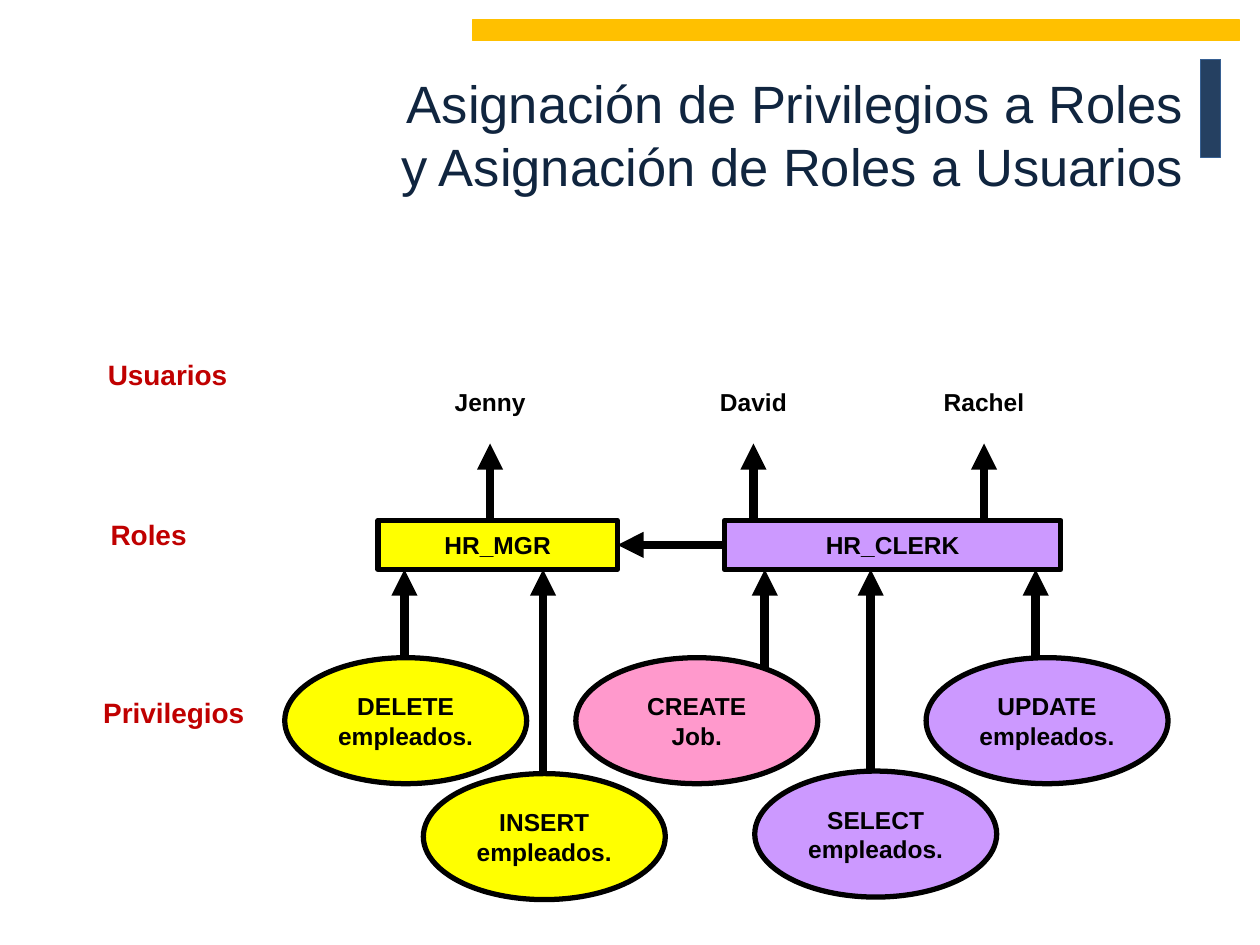
from pptx import Presentation
from pptx.dml.color import RGBColor
from pptx.enum.shapes import MSO_CONNECTOR, MSO_SHAPE
from pptx.enum.text import MSO_ANCHOR, PP_ALIGN
from pptx.oxml.ns import qn
from pptx.util import Inches, Pt
from lxml.etree import SubElement

BLACK = RGBColor(0, 0, 0)
NAVY = RGBColor(0x10, 0x25, 0x3F)
SLATE = RGBColor(0x25, 0x40, 0x61)
BLUE = RGBColor(0x37, 0x60, 0x92)
GOLD = RGBColor(0xFF, 0xC0, 0x00)
RED = RGBColor(0xC0, 0x00, 0x00)
YELLOW = RGBColor(0xFF, 0xFF, 0x00)
PURPLE = RGBColor(0xCC, 0x99, 0xFF)
PINK = RGBColor(0xFF, 0x99, 0xCC)

TITLE = "Asignación de Privilegios a Roles\vy Asignación de Roles a Usuarios"
BARS = [((9.53, 0.47, 0.16, 0.78), SLATE, BLUE),
        ((3.75, 0.16, 6.09, 0.16), GOLD, GOLD)]
LABELS = [("Usuarios", 1.33, 2.79), ("Roles", 1.18, 4.06), ("Privilegios", 1.38, 5.47)]
USERS = [("Jenny", 3.89), ("David", 5.98), ("Rachel", 7.81)]
ROLES = [("HR_MGR", 3, 1.9, YELLOW), ("HR_CLERK", 5.75, 2.67, PURPLE)]
RIGHTS = [("DELETE\nempleados.", 3.22, 5.22, YELLOW, 3.21),
          ("INSERT\nempleados.", 4.32, 6.14, YELLOW, 4.31),
          ("CREATE\nJob.", 5.53, 5.22, PINK, 6.07),
          ("SELECT\nempleados.", 6.95, 6.12, PURPLE, 6.91),
          ("UPDATE\nempleados.", 8.31, 5.22, PURPLE, 8.22)]
ROLE_TOP, ROLE_H = 4.13, 0.39
OVAL_W, OVAL_H = 1.92, 1

deck = Presentation()
deck.slide_width, deck.slide_height = Inches(10), Inches(7.5)
slide = deck.slides.add_slide(deck.slide_layouts[5])
shapes = slide.shapes


def style(frame, size, color, bold=True, align=PP_ALIGN.CENTER):
    for para in frame.paragraphs:
        para.alignment = align
        for run in para.runs:
            font = run.font
            font.name, font.size, font.bold = "Arial", Pt(size), bold
            font.color.rgb = color


def place(item, box):
    item.left, item.top, item.width, item.height = map(Inches, box)


def label(text, mid, top, size, color):
    box = shapes.add_textbox(Inches(mid - 0.9), Inches(top), Inches(1.8), Inches(0.36))
    frame = box.text_frame
    frame.word_wrap = True
    frame.text = text
    style(frame, size, color)


def block(kind, box, fill, line=BLACK, width=3, text=""):
    shape = shapes.add_shape(kind, *map(Inches, box))
    shape.shadow.inherit = False
    shape.fill.solid()
    shape.fill.fore_color.rgb = fill
    shape.line.color.rgb = line
    shape.line.width = Pt(width)
    if text:
        frame = shape.text_frame
        frame.word_wrap = False
        frame.vertical_anchor = MSO_ANCHOR.MIDDLE
        frame.text = text
        style(frame, 14, BLACK)
    return shape


def arrow(x1, y1, x2, y2):
    link = shapes.add_connector(MSO_CONNECTOR.STRAIGHT, *map(Inches, (x1, y1, x2, y2)))
    link.line.color.rgb = BLACK
    link.line.width = Pt(5)
    SubElement(link.line._get_or_add_ln(), qn("a:tailEnd"), type="triangle")
    SubElement(link._element.spPr, qn("a:effectLst"))
    return link


for box, fill, line in BARS:
    block(MSO_SHAPE.RECTANGLE, box, fill, line, 0.75)

title = shapes.title
place(title, (0.67, 0.26, 8.82, 1.6))
title.text_frame.text = TITLE
title.text_frame.vertical_anchor = MSO_ANCHOR.MIDDLE
style(title.text_frame, 30, NAVY, False, PP_ALIGN.RIGHT)

for text, mid, top in LABELS:
    label(text, mid, top, 16, RED)

for name, mid in USERS:
    label(name, mid, 3.02, 14, BLACK)
    arrow(mid, ROLE_TOP, mid, 3.52)

for text, mid, top, fill, tip in RIGHTS:
    arrow(tip, top + 0.2 * abs(tip - mid), tip, ROLE_TOP + ROLE_H)
    block(MSO_SHAPE.OVAL, (mid - OVAL_W / 2, top, OVAL_W, OVAL_H), fill, text=text)

boss, clerk = [block(MSO_SHAPE.RECTANGLE, (left, ROLE_TOP, width, ROLE_H), fill, text=name)
               for name, left, width, fill in ROLES]
link = arrow(5.75, 4.32, 4.9, 4.32)
link.begin_connect(clerk, 1)
link.end_connect(boss, 3)

deck.save("out.pptx")
